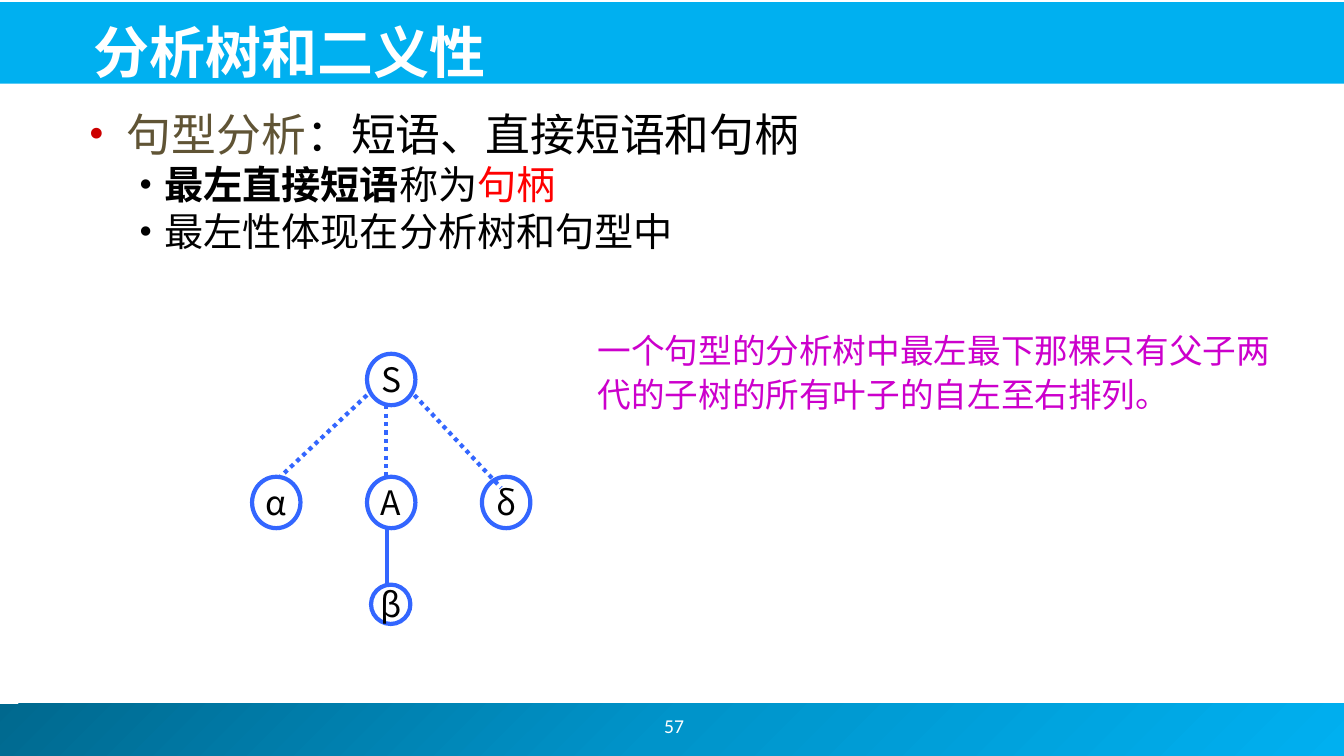
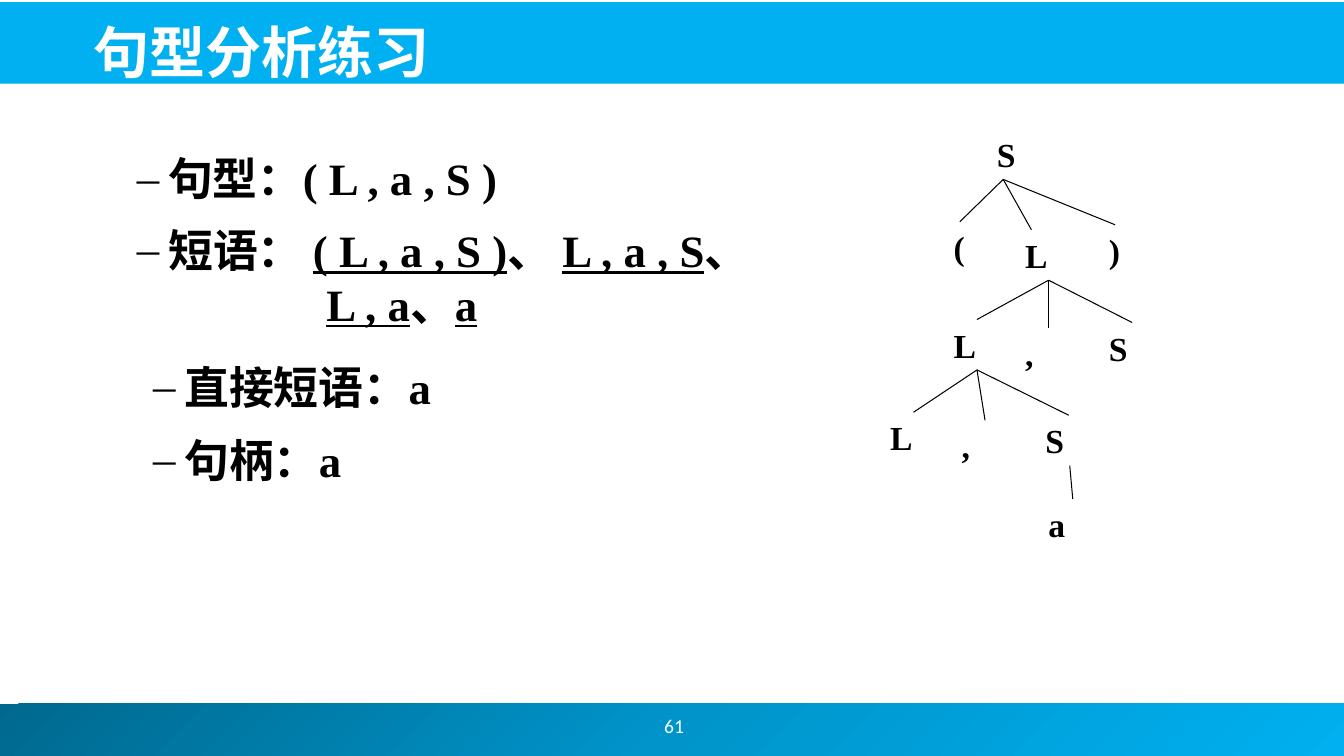
import pptx
import pptx.util
import pptx.dml.color
import pptx.enum.dml
import pptx.enum.shapes
import pptx.enum.text
import pptx.oxml
import pptx.oxml.ns

Inches = pptx.util.Inches
Pt = pptx.util.Pt
RGB = pptx.dml.color.RGBColor
SHAPE = pptx.enum.shapes.MSO_SHAPE
ALIGN = pptx.enum.text.PP_ALIGN
ANCHOR = pptx.enum.text.MSO_ANCHOR
SYS_DOT = pptx.enum.dml.MSO_LINE.ROUND_DOT
qn = pptx.oxml.ns.qn

WHITE = RGB(0xFF, 0xFF, 0xFF)
BLACK = RGB(0, 0, 0)
SKY = RGB(0x00, 0xB0, 0xF0)
MID_BLUE = RGB(0x00, 0x94, 0xCA)
DEEP_BLUE = RGB(0x00, 0x68, 0x8E)
NODE_BLUE = RGB(0x33, 0x66, 0xFF)
BROWN = RGB(0x60, 0x54, 0x35)
RED = RGB(0xFF, 0, 0)
BULLET_RED = RGB(0xCC, 0, 0)
PURPLE = RGB(0xCC, 0, 0xCC)

SERIF, SANS, HAN = "Times New Roman", "Noto Sans CJK JP", "Noto Sans CJK SC"
TITLE = dict(name=SANS, size=Pt(40), bold=True, color=WHITE)
NUMBER = dict(name="Calibri", size=Pt(14), color=WHITE)
NODE = dict(name=SANS, size=Pt(24), color=BLACK)
POINT = dict(name=SERIF, size=Pt(32), color=BLACK)
SUBPOINT = dict(POINT, size=Pt(28))
NOTE = dict(name=HAN, size=Pt(24), color=PURPLE)
ANSWER = dict(POINT, bold=True)
PHRASE = dict(ANSWER, underline=True)
LEAF = dict(ANSWER, size=Pt(24))

SUB_INDENT = dict(margin=0.75, hang=0.25, bullet="•", bullet_color=BLACK)
DASH = dict(margin=0.81, hang=0.31, bullet="–", bullet_color=BLACK)

HANDLE_POINTS = [
    ([("句型分析", dict(POINT, color=BROWN)), ("：短语、直接短语和句柄", POINT)],
     dict(margin=0.38, hang=0.38, bullet="•", bullet_color=BULLET_RED)),
    ([("最左直接短语", dict(SUBPOINT, bold=True)), ("称为", SUBPOINT),
      ("句柄", dict(SUBPOINT, color=RED))], SUB_INDENT),
    ([("最左性体现在分析树和句型中", SUBPOINT)], SUB_INDENT),
]
HANDLE_NOTE = "一个句型的分析树中最左最下那棵只有父子两代的子树的所有叶子的自左至右排列。"
NODES = [
    ("β", 3.68, 5.8, 0.39, 0.39),
    ("S", 3.64, 3.51, 0.48, 0.51),
    ("α", 2.5, 4.73, 0.48, 0.51),
    ("A", 3.64, 4.73, 0.48, 0.51),
    ("δ", 4.78, 4.73, 0.48, 0.51),
]
NODE_LINES = [
    ((3.64, 3.92), (2.78, 4.73), SYS_DOT),
    ((4.11, 3.92), (4.97, 4.84), SYS_DOT),
    ((3.83, 4.02), (3.83, 4.73), SYS_DOT),
    ((3.84, 5.24), (3.84, 5.8), None),
]

ANSWERS = [
    ((0.76, 1.45, 5.06, 0.55), [([("句型：( L , a , S )", ANSWER)], DASH)]),
    ((0.76, 2.16, 7.28, 1.1), [
        ([("短语： ", ANSWER), ("( L , a , S )", PHRASE), ("、 ", ANSWER),
          ("L , a , S", PHRASE), ("、", ANSWER)], DASH),
        ([("L , a", PHRASE), ("、", ANSWER), ("a", PHRASE)], dict(margin=2.38)),
    ]),
    ((0.92, 3.52, 5.63, 0.55), [([("直接短语：a", ANSWER)], DASH)]),
    ((0.92, 4.24, 5.63, 0.55), [([("句柄：a", ANSWER)], DASH)]),
]
LEAF_SIZE = 0.5
CHILD_OFFSETS = [(0, 0), (0.71, 0.08), (1.54, 0.03)]
FAMILIES = [
    ("(L)", (9.36, 2.2), (9.95, 1.78), 0.16),
    ("L,S", (9.36, 3.17), (10.4, 2.78), 0.33),
    ("L,S", (8.73, 4.09), (9.69, 3.67), 0.33),
]


def inches(values):
    return [Inches(v) for v in values]


def add_run(p, text, fmt):
    r = p.add_run()
    r.text = text
    for key, value in fmt.items():
        if key == "color":
            r.font.color.rgb = value
        else:
            setattr(r.font, key, value)
    ea = pptx.oxml.parse_xml(
        f'<a:ea {pptx.oxml.ns.nsdecls("a")} typeface="{HAN}"/>')
    r.font._element.find(qn("a:latin")).addnext(ea)


def set_indent(p, margin=0, hang=0, bullet=None, bullet_color=None):
    pPr = p._p.get_or_add_pPr()
    pPr.set("marL", str(Inches(margin)))
    pPr.set("indent", str(-Inches(hang)))
    if bullet:
        ns = pptx.oxml.ns.nsdecls("a")
        for xml in (
            f'<a:buClr {ns}><a:srgbClr val="{bullet_color}"/></a:buClr>',
            f'<a:buFont {ns} typeface="{SERIF}"/>',
            f'<a:buChar {ns} char="{bullet}"/>',
        ):
            pPr.append(pptx.oxml.parse_xml(xml))


def add_text(s, box, paragraphs, align=None, anchor=ANCHOR.TOP, spacing=None):
    tf = s.shapes.add_textbox(*inches(box)).text_frame
    tf.word_wrap = True
    tf.vertical_anchor = anchor
    for i, (runs, indent) in enumerate(paragraphs):
        p = tf.add_paragraph() if i else tf.paragraphs[0]
        set_indent(p, **indent)
        p.alignment = align
        p.line_spacing = spacing
        for text, fmt in runs:
            add_run(p, text, fmt)


def add_line(s, start, end, color, width, dash=None):
    sp = s.shapes.add_connector(pptx.enum.shapes.MSO_CONNECTOR.STRAIGHT,
                                *inches(start + end))
    sp.line.color.rgb = color
    sp.line.width = Pt(width)
    if dash:
        sp.line.dash_style = dash
    sp._element.spPr.append(pptx.oxml.parse_xml(
        f'<a:effectLst {pptx.oxml.ns.nsdecls("a")}/>'))


def add_band(s, box):
    sp = s.shapes.add_shape(SHAPE.RECTANGLE, *inches(box))
    sp.shadow.inherit = False
    sp.line.fill.background()
    sp.fill.solid()
    sp.fill.fore_color.rgb = SKY
    return sp


def add_slide(prs, title, number):
    s = prs.slides.add_slide(prs.slide_layouts[5])
    footer = add_band(s, (-0.05, 6.98, 13.39, 0.52))
    stops = "".join(
        f'<a:gs pos="{pos * 1000}"><a:srgbClr val="{color}"/></a:gs>'
        for pos, color in ((0, DEEP_BLUE), (50, MID_BLUE), (100, SKY)))
    solid = footer._element.spPr.find(qn("a:solidFill"))
    solid.getparent().replace(solid, pptx.oxml.parse_xml(
        f'<a:gradFill {pptx.oxml.ns.nsdecls("a")}><a:gsLst>{stops}</a:gsLst>'
        '<a:lin ang="2700000" scaled="0"/></a:gradFill>'))
    add_band(s, (-0.02, 0.02, 13.36, 0.81))
    add_text(s, (5.24, 6.95, 2.89, 0.5), [([(number, NUMBER)], {})],
             ALIGN.CENTER, ANCHOR.MIDDLE)

    sp = s.shapes.title
    s.shapes._spTree.append(sp._element)
    sp.left, sp.top, sp.width, sp.height = inches((0.83, 0.1, 12.06, 0.79))
    tf = sp.text_frame
    tf.vertical_anchor = ANCHOR.BOTTOM
    tf.auto_size = pptx.enum.text.MSO_AUTO_SIZE.NONE
    p = tf.paragraphs[0]
    p.alignment = ALIGN.LEFT
    add_run(p, title, TITLE)
    return s


def add_node(s, text, *box):
    sp = s.shapes.add_shape(SHAPE.OVAL, *inches(box))
    sp.shadow.inherit = False
    sp.fill.background()
    sp.line.color.rgb = NODE_BLUE
    sp.line.width = Pt(3)
    tf = sp.text_frame
    tf.word_wrap = False
    tf.vertical_anchor = ANCHOR.MIDDLE
    p = tf.paragraphs[0]
    p.alignment = ALIGN.CENTER
    add_run(p, text, NODE)


def add_leaf(s, text, left, top):
    add_text(s, (left, top, LEAF_SIZE, LEAF_SIZE), [([(text, LEAF)], {})])


def build_handle_slide(prs):
    s = add_slide(prs, "分析树和二义性", "57")
    add_text(s, (0.78, 1.01, 12.44, 5.44), HANDLE_POINTS)
    for node in NODES:
        add_node(s, *node)
    for start, end, dash in NODE_LINES:
        add_line(s, start, end, NODE_BLUE, 3, dash)
    add_text(s, (5.83, 3.2, 6.94, 1.15), [([(HANDLE_NOTE, NOTE)], {})],
             spacing=1.07)


def build_exercise_slide(prs):
    s = add_slide(prs, "句型分析练习", "61")
    for box, paragraphs in ANSWERS:
        add_text(s, box, paragraphs)
    add_leaf(s, "S", 9.79, 1.28)
    for labels, (left, top), parent, reach in FAMILIES:
        for label, (dx, dy) in zip(labels, CHILD_OFFSETS):
            add_leaf(s, label, left + dx, top + dy)
            add_line(s, parent, (left + dx + reach, top + dy), BLACK, 0.75)
    add_leaf(s, "a", 10.3, 4.95)
    add_line(s, (10.61, 4.62), (10.64, 4.95), BLACK, 0.75)


def main():
    prs = pptx.Presentation()
    prs.slide_width, prs.slide_height = inches((13.33, 7.5))
    build_handle_slide(prs)
    build_exercise_slide(prs)
    prs.save("out.pptx")


if __name__ == "__main__":
    main()
